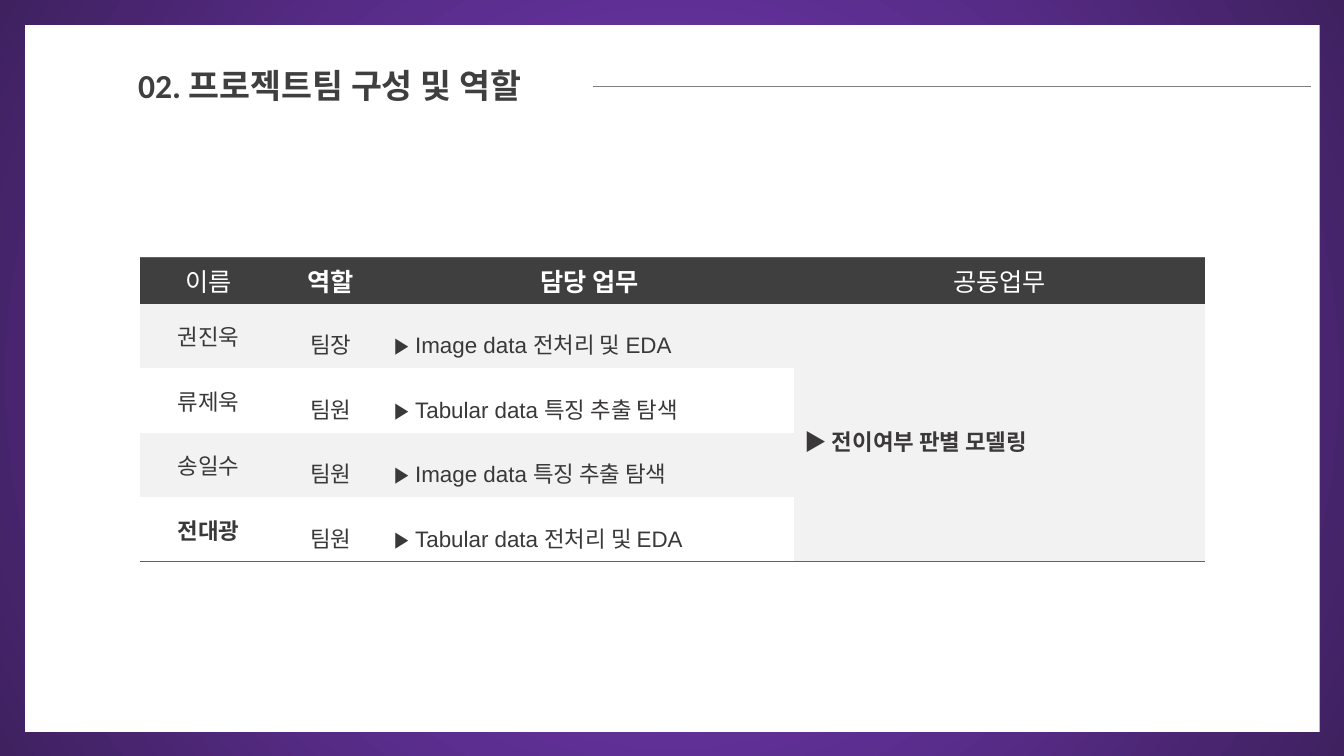
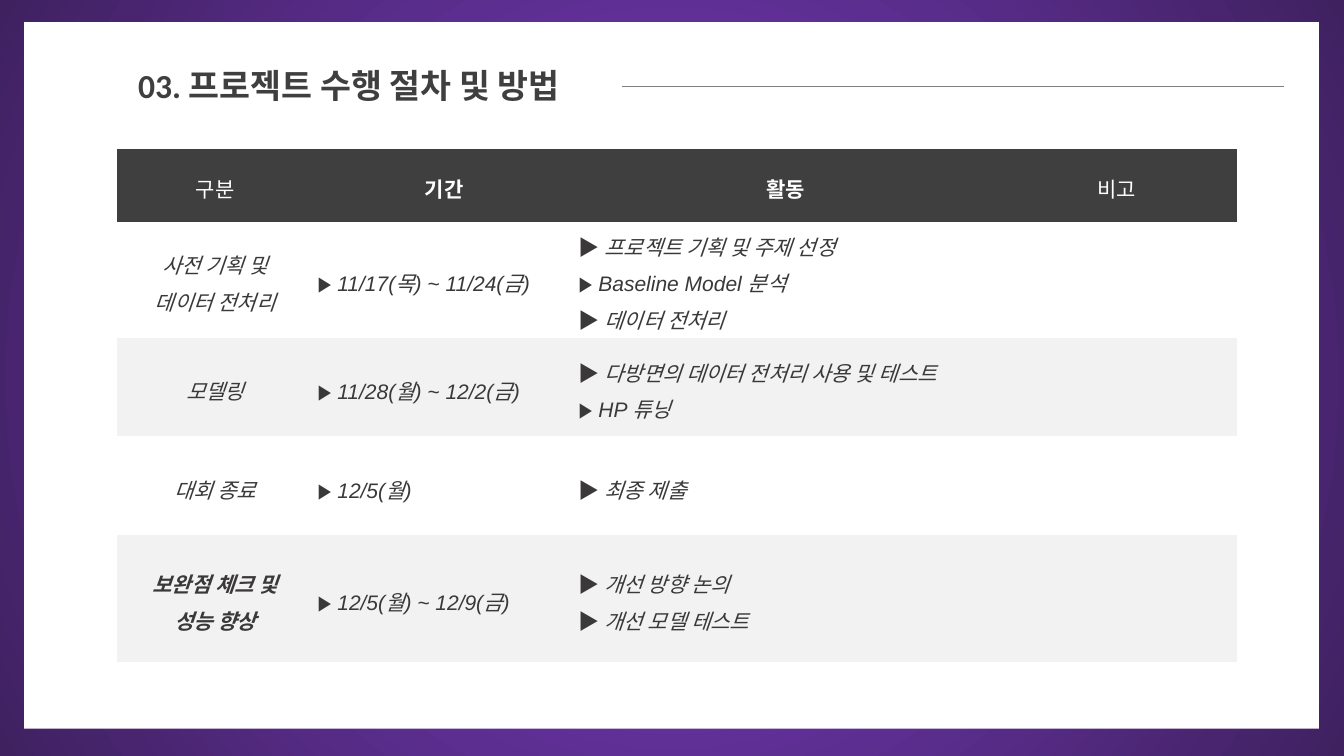
from lxml import etree
from pptx import Presentation
from pptx.dml.color import RGBColor
from pptx.enum.shapes import MSO_CONNECTOR, MSO_SHAPE
from pptx.enum.text import MSO_ANCHOR, MSO_AUTO_SIZE, PP_ALIGN
from pptx.oxml import parse_xml
from pptx.oxml.ns import nsdecls, qn
from pptx.util import Inches, Pt

RECTANGLE, STRAIGHT = MSO_SHAPE.RECTANGLE, MSO_CONNECTOR.STRAIGHT
TOP, MIDDLE = MSO_ANCHOR.TOP, MSO_ANCHOR.MIDDLE
LEFT, CENTER = PP_ALIGN.LEFT, PP_ALIGN.CENTER

WHITE = RGBColor(0xFF, 0xFF, 0xFF)
STRIPE = RGBColor(0xF2, 0xF2, 0xF2)
CHARCOAL = RGBColor(0x3F, 0x3F, 0x3F)
INK = RGBColor(0x3A, 0x38, 0x38)
RULE_GRAY = RGBColor(0x7F, 0x7F, 0x7F)
PINK = RGBColor(0xE9, 0x1D, 0x63)
PURPLE = RGBColor(0x7E, 0x3D, 0xC8)
DEEP_PURPLE = RGBColor(0x3F, 0x21, 0x60)

PLAIN_TABLE = "{2D5ABB26-0587-4C30-8999-92F81FD0307C}"
MARK = "▶ "
PANEL_SIZE = (12.84, 7.01)
TITLE_AT = (1.27, 0.59)
RULE_Y = 0.86

TEAM = {
    "title": "02. 프로젝트팀 구성 및 역할",
    "title_width": 4.85,
    "panel": (0.25, 0.25),
    "rule": (5.88, 13),
    "at": (1.39, 2.55),
    "columns": [1.36, 1.06, 4.07, 4.07],
    "rows": [0.4] + [0.64] * 4,
    "header": ["이름", "역할", "담당 업무", "공동업무"],
    "body": [
        ["권진욱", "팀장", "Image data 전처리 및 EDA", "전이여부 판별 모델링"],
        ["류제욱", "팀원", "Tabular data 특징 추출 탐색", ""],
        ["송일수", "팀원", "Image data 특징 추출 탐색", ""],
        ["전대광", "팀원", "Tabular data 전처리 및 EDA", ""],
    ],
    "marked": (2, 3),
    "bold": {(0, 1), (0, 2), (1, 3), (4, 0)},
    "spacing": [None, 1.5, 1.5, 1.5],
    "header_spacing": None,
    "sizes": (18, 16),
    "italic": False,
    "margins": (0.1, 0.05, 0.1, 0.05),
    "marked_margins": (0.1, 0.05, 0.1, 0.05),
    "first_fill": STRIPE,
    "shared_column": 3,
    "edges": True,
}

SCHEDULE = {
    "title": "03. 프로젝트 수행 절차 및 방법",
    "title_width": 5.07,
    "panel": (0.24, 0.22),
    "rule": (6.17, 12.74),
    "at": (1.16, 1.48),
    "columns": [1.95, 2.59, 4.18, 2.39],
    "rows": [0.72, 1.15, 0.98, 0.98, 1.26],
    "header": ["구분", "기간", "활동", "비고"],
    "body": [
        ["사전 기획 및\n데이터 전처리", "11/17(목) ~ 11/24(금)",
         "프로젝트 기획 및 주제 선정\nBaseline Model 분석\n데이터 전처리", ""],
        ["모델링", "11/28(월) ~ 12/2(금)",
         "다방면의 데이터 전처리 사용 및 테스트\nHP 튜닝", ""],
        ["대회 종료", "12/5(월)", "최종 제출", ""],
        ["보완점 체크 및\n성능 향상", "12/5(월) ~ 12/9(금)",
         "개선 방향 논의\n개선 모델 테스트", ""],
    ],
    "marked": (1, 2),
    "bold": {(0, 1), (0, 2), (4, 0)},
    "spacing": [1.2] * 4,
    "header_spacing": 1.2,
    "sizes": (15, 15),
    "italic": True,
    "margins": (0.09, 0.05, 0.09, 0.05),
    "marked_margins": (0.04, 0, 0, 0),
    "first_fill": WHITE,
    "shared_column": None,
    "edges": False,
}


def set_background(master):
    fill = master.background.fill
    fill.gradient()
    for stop, color in zip(fill.gradient_stops, (PURPLE, DEEP_PURPLE)):
        stop.color.rgb = color
    gradient = master.background._cSld.find(".//" + qn("a:gradFill"))
    radial = parse_xml(
        f'<a:path {nsdecls("a")} path="circle">'
        '<a:fillToRect l="50000" t="50000" r="50000" b="50000"/></a:path>')
    gradient.replace(gradient.find(qn("a:lin")), radial)


def add_frame(slide, page):
    panel = slide.shapes.add_shape(
        RECTANGLE, *map(Inches, page["panel"] + PANEL_SIZE))
    panel.shadow.inherit = False
    panel.fill.solid()
    panel.fill.fore_color.rgb = WHITE
    panel.line.fill.background()
    slide.shapes._spTree.insert(2, panel._element)

    start, end = page["rule"]
    rule = slide.shapes.add_connector(
        STRAIGHT, Inches(start), Inches(RULE_Y), Inches(end), Inches(RULE_Y))
    rule.line.color.rgb = RULE_GRAY
    rule.line.width = Pt(1)
    etree.SubElement(rule._element.spPr, qn("a:effectLst"))

    title = slide.shapes.title
    title.left, title.top = map(Inches, TITLE_AT)
    title.width, title.height = Inches(page["title_width"]), Inches(0.5)
    frame = title.text_frame
    frame.text = page["title"]
    frame.auto_size = MSO_AUTO_SIZE.NONE
    frame.vertical_anchor = TOP
    heading = frame.paragraphs[0]
    heading.alignment = LEFT
    style(heading.font, 24, CHARCOAL, "Calibri")
    heading.font.bold = True


def style(font, size, color, face="Arial"):
    font.size, font.name = Pt(size), face
    font.color.rgb = color


def add_edge(cell, side):
    edge = parse_xml(
        f'<a:{side} {nsdecls("a")} w="9525"><a:solidFill>'
        f'<a:srgbClr val="{PINK}"/></a:solidFill></a:{side}>')
    cell._tc.get_or_add_tcPr().insert(0, edge)


def fill_cell(cell, text, page, row, column):
    is_header = row == 0
    is_marked = not is_header and column in page["marked"]
    banded = (page["first_fill"] == STRIPE) == (row % 2 == 1)
    cell.fill.solid()
    cell.fill.fore_color.rgb = CHARCOAL if is_header else STRIPE if banded else WHITE
    cell.vertical_anchor = MIDDLE
    margins = page["marked_margins" if is_marked else "margins"]
    (cell.margin_left, cell.margin_top,
     cell.margin_right, cell.margin_bottom) = map(Inches, margins)
    if not text:
        return
    bold = (row, column) in page["bold"]
    italic = page["italic"] and not is_header
    for index, words in enumerate(text.split("\n")):
        frame = cell.text_frame
        line = frame.add_paragraph() if index else frame.paragraphs[0]
        line.alignment = LEFT if is_marked else CENTER
        line.line_spacing = page["header_spacing"] if is_header else page["spacing"][column]
        style(line.font, page["sizes"][0 if is_header else 1],
              WHITE if is_header else INK)
        if is_marked:
            mark = line.add_run()
            mark.text = MARK
            mark.font.bold, mark.font.italic = True, False
        wording = line.add_run()
        wording.text = words
        wording.font.bold, wording.font.italic = bold, italic


def add_grid(slide, page):
    columns, rows = page["columns"], page["rows"]
    grid = slide.shapes.add_table(
        len(rows), len(columns), *map(Inches, page["at"]),
        Inches(sum(columns)), Inches(sum(rows))).table
    grid._tbl.tblPr.find(qn("a:tableStyleId")).text = PLAIN_TABLE
    grid.first_row = grid.horz_banding = False
    for column, width in zip(grid.columns, columns):
        column.width = Inches(width)
    for row, height in zip(grid.rows, rows):
        row.height = Inches(height)
    for r, entries in enumerate([page["header"]] + page["body"]):
        for c, text in enumerate(entries):
            fill_cell(grid.cell(r, c), text, page, r, c)

    last = len(rows) - 1
    if page["edges"]:
        for c in range(len(columns)):
            add_edge(grid.cell(0, c), "lnT")
            add_edge(grid.cell(last, c), "lnB")
    shared = page["shared_column"]
    if shared is not None:
        grid.cell(1, shared).merge(grid.cell(last, shared))
        add_edge(grid.cell(1, shared), "lnB")


def main():
    deck = Presentation()
    deck.slide_width, deck.slide_height = Inches(13.33), Inches(7.5)
    set_background(deck.slide_master)
    for page in (TEAM, SCHEDULE):
        slide = deck.slides.add_slide(deck.slide_layouts[5])
        add_frame(slide, page)
        add_grid(slide, page)
    deck.save("out.pptx")


if __name__ == "__main__":
    main()
